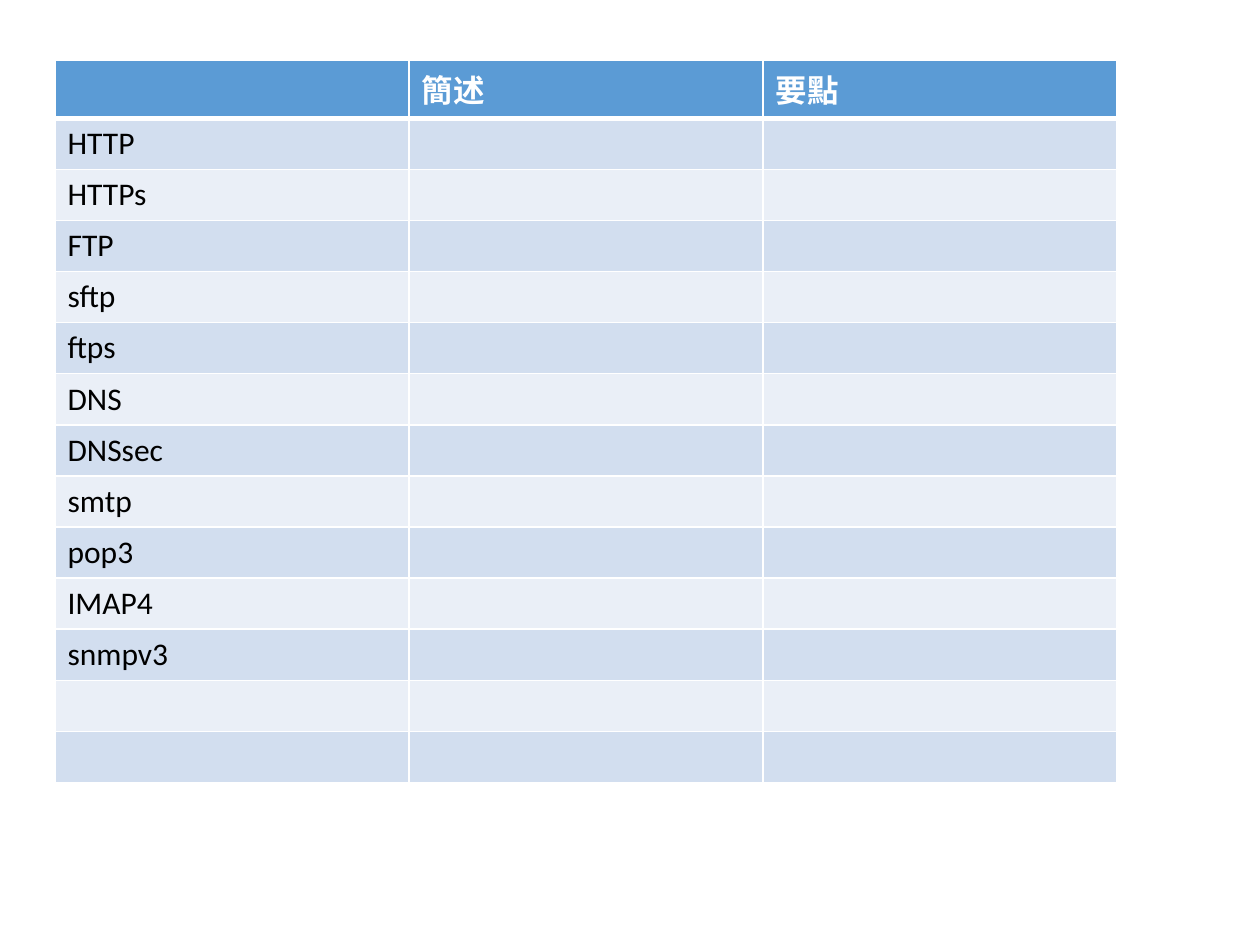
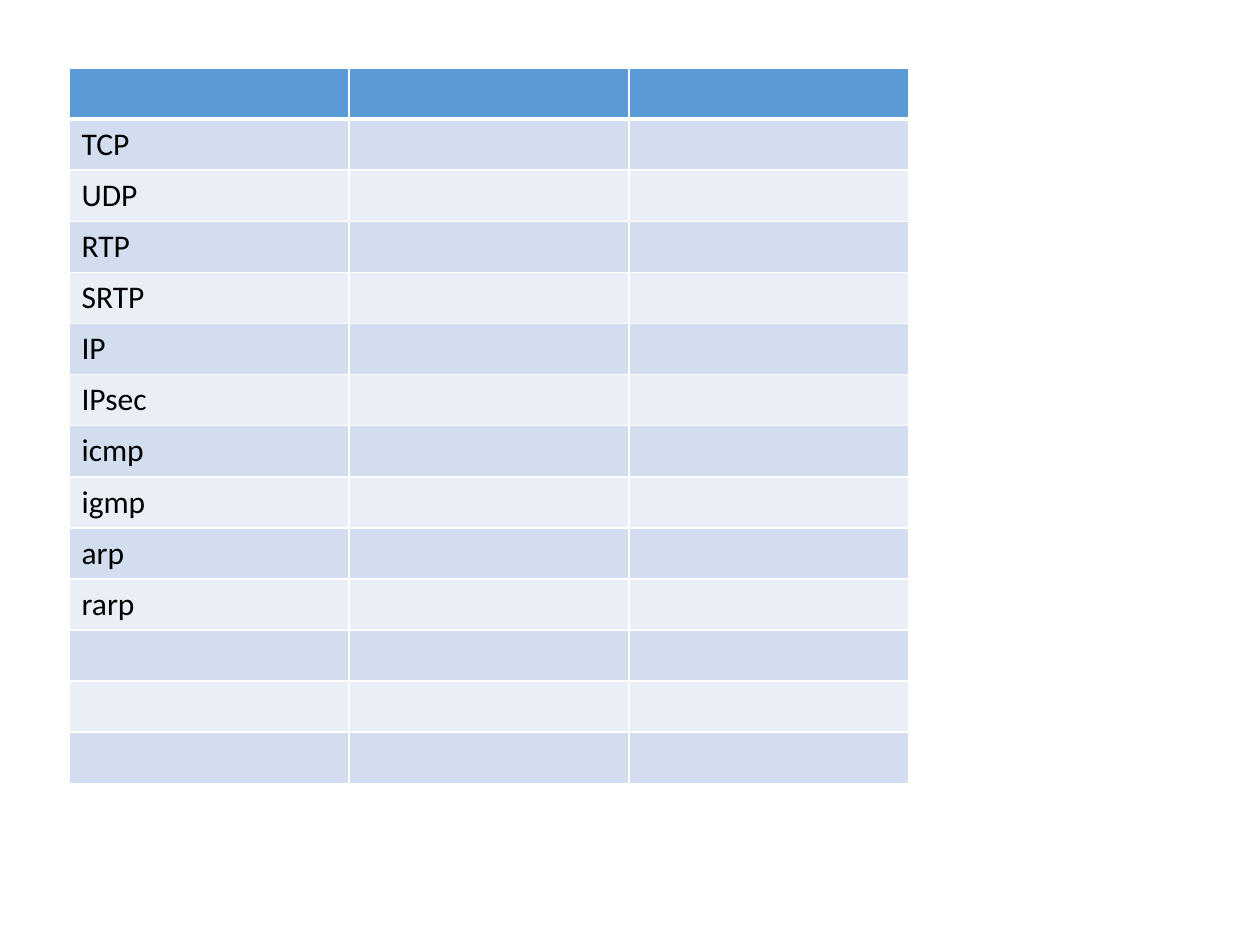
from lxml import etree
from pptx import Presentation
from pptx.dml.color import RGBColor
from pptx.oxml.ns import qn
from pptx.util import Emu, Pt

# Shared style
PX_PER_INCH = 126
PAGE_WIDTH, PAGE_HEIGHT = 1260, 945
ROW_HEIGHT = 51
ROW_COUNT = 14
COLUMN_COUNT = 3
FONT = "Calibri"
WHITE = RGBColor(0xFF, 0xFF, 0xFF)
BLACK = RGBColor(0x00, 0x00, 0x00)
HEADER_BLUE = RGBColor(0x5B, 0x9B, 0xD5)
BANDS = (RGBColor(0xEA, 0xEF, 0xF7), RGBColor(0xD2, 0xDE, 0xEF))
THIN, THICK = Pt(1), Pt(3)

# Content: header, protocol names, left, top and column width in px
TABLES = [
    (["", "簡述", "要點"],
     ["HTTP", "HTTPs", "FTP", "sftp", "ftps", "DNS", "DNSsec", "smtp",
      "pop3", "IMAP4", "snmpv3"],
     55, 60, 354),
    (["", "", ""],
     ["TCP", "UDP", "RTP", "SRTP", "IP", "IPsec", "icmp", "igmp", "arp",
      "rarp"],
     69, 68, 280),
]


def px(length):
    return Emu(round(length * 914400 / PX_PER_INCH))


class ProtocolDeck:
    def __init__(self):
        self.deck = Presentation()
        self.deck.slide_width = px(PAGE_WIDTH)
        self.deck.slide_height = px(PAGE_HEIGHT)
        self.page = None

    def new_page(self):
        self.page = self.deck.slides.add_slide(self.deck.slide_layouts[6])

    def border(self, cell, side, width):
        properties = cell._tc.get_or_add_tcPr()
        line = etree.SubElement(properties, qn(f"a:ln{side}"), w=str(width))
        fill = etree.SubElement(line, qn("a:solidFill"))
        etree.SubElement(fill, qn("a:srgbClr"), val=str(WHITE))

    def text(self, cell, words, color, bold):
        span = cell.text_frame.paragraphs[0].add_run()
        span.text = words
        formats = {"name": FONT, "size": Pt(18), "bold": bold}
        for name, value in formats.items():
            setattr(span.font, name, value)
        span.font.color.rgb = color

    def cell(self, cell, words, row):
        is_header = row == 0
        # The header is parted from the body by a thicker rule
        widths = {"L": THIN, "R": THIN,
                  "T": THICK if row == 1 else THIN,
                  "B": THICK if is_header else THIN}
        for side, width in widths.items():
            self.border(cell, side, width)
        cell.fill.solid()
        cell.fill.fore_color.rgb = HEADER_BLUE if is_header else BANDS[row % 2]
        if words:
            self.text(cell, words, WHITE if is_header else BLACK, is_header)

    def table(self, header, protocols, left, top, column_width):
        table = self.page.shapes.add_table(
            ROW_COUNT, COLUMN_COUNT, px(left), px(top),
            px(column_width * COLUMN_COUNT), px(ROW_HEIGHT * ROW_COUNT)).table
        for column in table.columns:
            column.width = px(column_width)
        for row in table.rows:
            row.height = px(ROW_HEIGHT)
        words = {(0, column): title for column, title in enumerate(header)}
        words.update({(row, 0): name for row, name in enumerate(protocols, 1)})
        for row in range(ROW_COUNT):
            for column in range(COLUMN_COUNT):
                self.cell(table.cell(row, column),
                          words.get((row, column), ""), row)


def main():
    builder = ProtocolDeck()
    for table in TABLES:
        builder.new_page()
        builder.table(*table)
    builder.deck.save("out.pptx")


if __name__ == "__main__":
    main()
